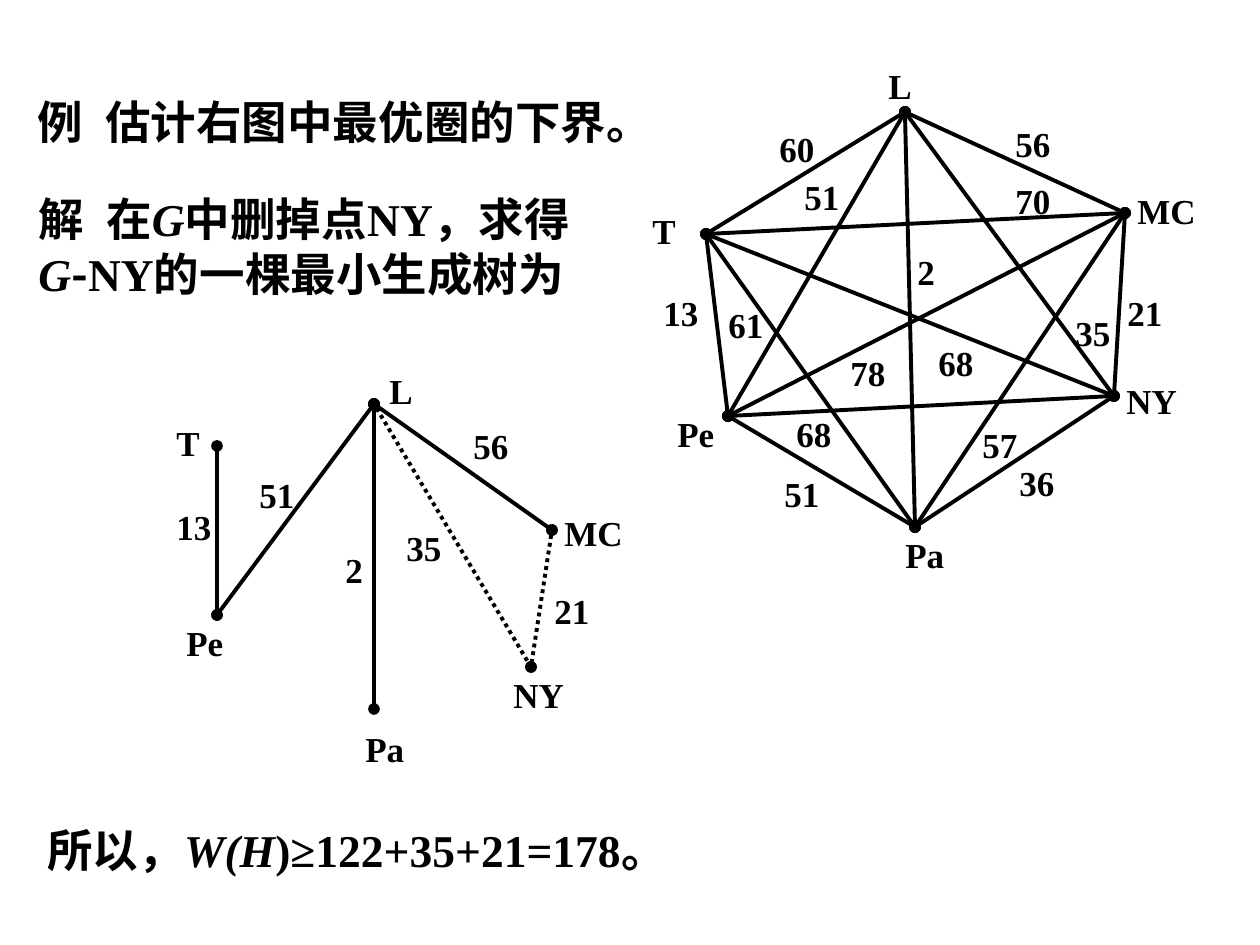
from itertools import combinations

from lxml.etree import SubElement
from pptx import Presentation
from pptx.dml.color import RGBColor
from pptx.enum.dml import MSO_LINE_DASH_STYLE as Dash
from pptx.enum.shapes import MSO_CONNECTOR as Connector
from pptx.enum.text import MSO_AUTO_SIZE as AutoSize
from pptx.oxml.ns import qn
from pptx.util import Emu, Pt

PX = 914400 / 126
COLORS = {"ink": "000000"}
LATIN, HAN = "Times New Roman", "Noto Sans CJK SC"
LABEL_HEIGHT = 55

# Vertices and label corners are relative to the graph's own box.
COMPLETE_POINTS = {"L": (265, 54), "T": (66, 176), "MC": (485, 155),
                   "Pe": (88, 358), "NY": (474, 338), "Pa": (275, 469)}
COMPLETE_NAMES = [("L", 236, 0), ("T", 0, 145), ("MC", 485, 125),
                  ("Pe", 25, 348), ("NY", 474, 315), ("Pa", 253, 469)]
COMPLETE_WEIGHTS = [
    ("13", 11, 227), ("2", 265, 186), ("21", 475, 227), ("70", 363, 115),
    ("56", 363, 58), ("51", 152, 111), ("60", 127, 63), ("78", 198, 287),
    ("35", 423, 247), ("36", 367, 397), ("51", 132, 408), ("68", 286, 277),
    ("57", 330, 359), ("68", 144, 348), ("61", 76, 239)]

TREE_POINTS = {"L": (210, 41), "T": (53, 83), "MC": (388, 167),
               "Pe": (53, 252), "NY": (367, 304), "Pa": (210, 346)}
TREE_NAMES = [("L", 213, 0), ("T", 0, 52), ("MC", 388, 142),
              ("Pe", 10, 252), ("NY", 337, 304), ("Pa", 189, 358)]
TREE_WEIGHTS = [("51", 83, 104), ("13", 0, 136), ("56", 297, 55),
                ("2", 169, 179), ("35", 230, 157), ("21", 378, 220)]
TREE_EDGES = [("T", "Pe"), ("Pe", "L"), ("L", "Pa"), ("L", "MC")]
ADDED_EDGES = [("MC", "NY"), ("L", "NY")]


def px(*values):
    return [Emu(round(value * PX)) for value in values]


def add_text(shapes, box, *runs, size=26, tab=None):
    """Each run is a string or a (string, format) pair; tab is a stop in px."""
    textbox = shapes.add_textbox(*px(*box))
    frame = textbox.text_frame
    frame.word_wrap = True
    frame.auto_size = AutoSize.SHAPE_TO_FIT_TEXT
    paragraph = frame.paragraphs[0]
    if tab:
        stops = SubElement(paragraph._p.get_or_add_pPr(), qn("a:tabLst"))
        SubElement(stops, qn("a:tab"), pos=str(px(tab)[0]), algn="l")
    for item in runs:
        text, style = (item, {}) if isinstance(item, str) else item
        run = paragraph.add_run()
        run.text = text
        font = run.font
        font.size, font.bold = Pt(size), True
        font.italic = style.get("italic", False)
        font.color.rgb = RGBColor.from_string(COLORS["ink"])
        font.name = style.get("name", LATIN)
        SubElement(run._r.get_or_add_rPr(), qn("a:ea"), typeface=HAN)


def add_edge(shapes, start, end, dash=None):
    edge = shapes.add_connector(Connector.STRAIGHT, *px(*start, *end))
    edge.line.width = Pt(2.25)
    edge.line.color.rgb = RGBColor.from_string(COLORS["ink"])
    if dash:
        edge.line.dash_style = dash
    line = edge.line._get_or_add_ln()
    for tip in ("a:headEnd", "a:tailEnd"):
        SubElement(line, qn(tip), type="oval")
    SubElement(edge._element.spPr, qn("a:effectLst"))


def add_graph(slide, left, top, points, names, weights, edges, dotted=()):
    shapes = slide.shapes.add_group_shape().shapes
    vertices = {name: (left + x, top + y) for name, (x, y) in points.items()}
    for pairs, dash in ((edges, None), (dotted, Dash.ROUND_DOT)):
        for start, end in pairs:
            add_edge(shapes, vertices[start], vertices[end], dash)
    for labels, width in ((weights, 68), (names, 102)):
        for text, x, y in labels:
            add_text(shapes, (left + x, top + y, width, LABEL_HEIGHT), text, size=20)


def add_statements(slide, left):
    italic = {"italic": True}
    shapes = slide.shapes
    add_text(shapes, (left, 88, 714, 68), "例\t估计右图中最优圈的下界。", tab=68)
    add_text(shapes, (left + 1, 185, 586, 176), "解\t在", ("G", italic),
             "中删掉点NY，求得", ("G", italic), ("-", {"name": HAN}),
             "NY的一棵最小生成树为", tab=68)
    add_text(shapes, (left + 10, 816, 952, 68), "所以，", ("W(H", italic),
             ")≥122+35+21=178", ("。", {"name": HAN}))


def main():
    presentation = Presentation()
    presentation.slide_width, presentation.slide_height = px(1260, 945)
    slide = presentation.slides.add_slide(presentation.slide_layouts[6])
    add_statements(slide, 25)
    add_graph(slide, 640, 58, COMPLETE_POINTS, COMPLETE_NAMES,
              COMPLETE_WEIGHTS, combinations(COMPLETE_POINTS, 2))
    add_graph(slide, 164, 363, TREE_POINTS, TREE_NAMES, TREE_WEIGHTS,
              TREE_EDGES, ADDED_EDGES)
    presentation.save("out.pptx")


if __name__ == "__main__":
    main()
